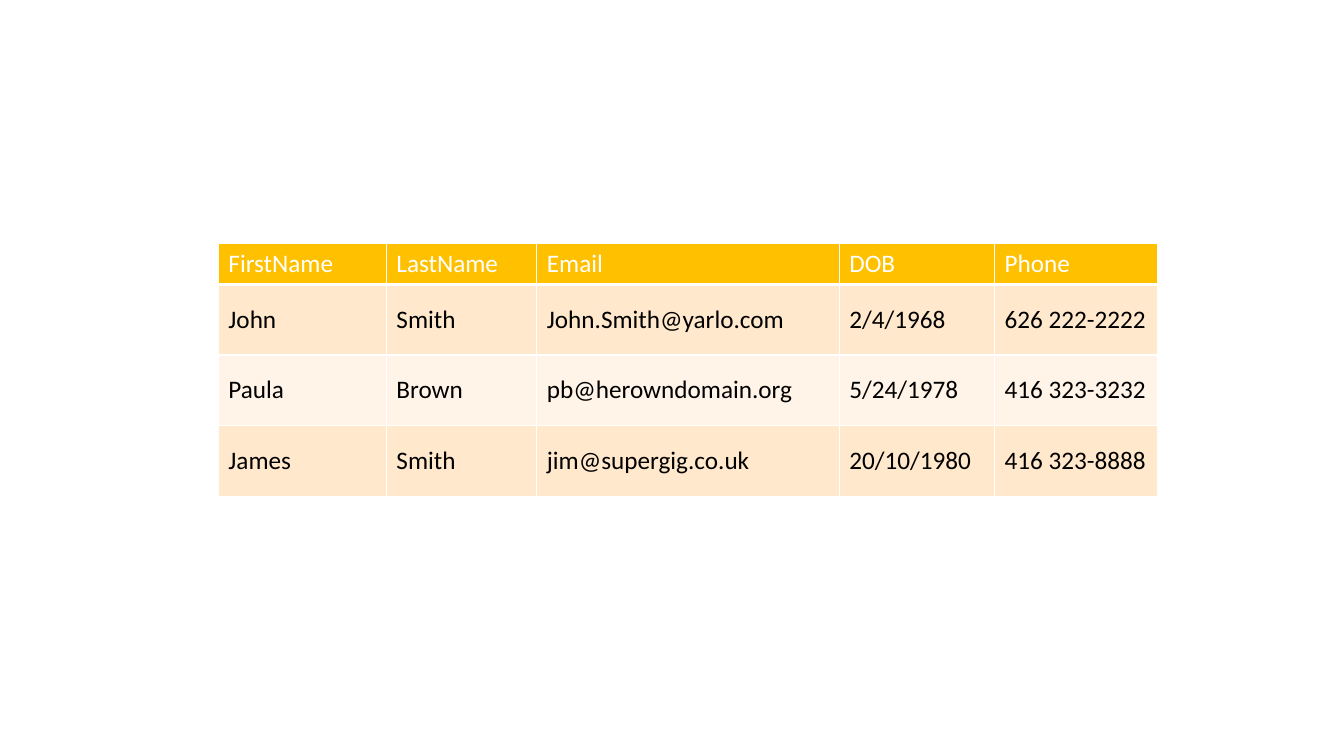
import pptx
import pptx.dml.color
import pptx.enum.text
import pptx.oxml.ns
import pptx.util
from lxml import etree

COLS, ROWS = 80, 45
PEOPLE = [
    ("FirstName", "LastName", "Email", "DOB", "Phone"),
    ("John", "Smith", "John.Smith@yarlo.com", "2/4/1968", "626 222-2222"),
    ("Paula", "Brown", "pb@herowndomain.org", "5/24/1978", "416 323-3232"),
    ("James", "Smith", "jim@supergig.co.uk", "20/10/1980", "416 323-8888"),
]


def paint(hue):
    return pptx.dml.color.RGBColor.from_string(hue)


class Deck:
    """Holds the style and the current slide."""

    font, size = "Calibri", 18
    white, black, gold = "FFFFFF", "000000", "FFC000"
    bands = ("FFE8CC", "FFF4E7")

    def __init__(self):
        self.file = pptx.Presentation()
        self.file.slide_width = pptx.util.Inches(13.333)
        self.file.slide_height = pptx.util.Inches(7.5)
        self.slide = self.file.slides.add_slide(self.file.slide_layouts[6])

    def across(self, count):
        return round(self.file.slide_width * count / COLS)

    def down(self, count):
        return round(self.file.slide_height * count / ROWS)

    def border(self, cell, side, width):
        name = pptx.oxml.ns.qn
        props = cell._tc.get_or_add_tcPr()
        line = etree.SubElement(props, name("a:ln" + side), w=str(pptx.util.Pt(width)))
        fill = etree.SubElement(line, name("a:solidFill"))
        etree.SubElement(fill, name("a:srgbClr"), val=self.white)

    def cell(self, cell, text, fill, ink, base):
        for side, width in zip("LRTB", (1, 1, 1, base)):
            self.border(cell, side, width)
        cell.fill.solid()
        cell.fill.fore_color.rgb = paint(fill)
        cell.vertical_anchor = pptx.enum.text.MSO_ANCHOR.MIDDLE
        run = cell.text_frame.paragraphs[0].add_run()
        run.text = text
        run.font.name = self.font
        run.font.size = pptx.util.Pt(self.size)
        run.font.bold = False
        run.font.color.rgb = paint(ink)

    def table(self, data, left, top, widths, heights):
        frame = self.slide.shapes.add_table(
            len(data), len(widths), self.across(left), self.down(top),
            self.across(sum(widths)), self.down(sum(heights)))
        grid = frame.table
        for col, width in zip(grid.columns, widths):
            col.width = self.across(width)
        for row, height in zip(grid.rows, heights):
            row.height = self.down(height)
        for r, line in enumerate(data):
            if r == 0:
                look = self.gold, self.white, 3
            else:
                look = self.bands[(r - 1) % 2], self.black, 1
            for c, text in enumerate(line):
                self.cell(grid.cell(r, c), text, *look)


def main():
    deck = Deck()
    deck.table(PEOPLE, 13, 14.5, (10, 8.96, 18, 9.25, 9.72), (2.43, 4.2, 4.2, 4.2))
    deck.file.save("out.pptx")


if __name__ == "__main__":
    main()
